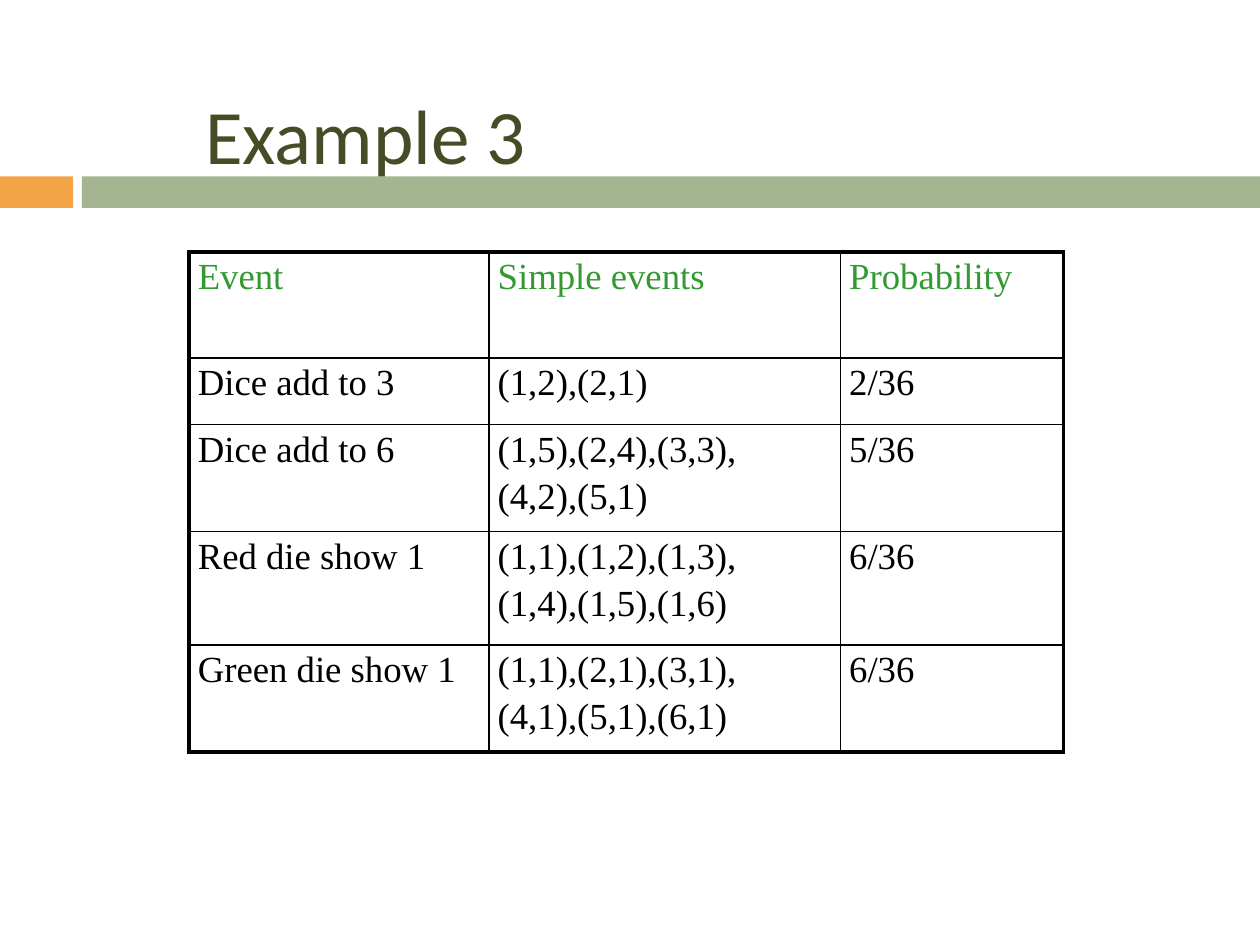
from typing import NamedTuple

from pptx import Presentation
from pptx.dml.color import RGBColor
from pptx.enum.shapes import MSO_SHAPE
from pptx.enum.text import MSO_ANCHOR, PP_ALIGN
from pptx.oxml.ns import qn
from pptx.util import Inches, Pt
from lxml import etree

RECTANGLE = MSO_SHAPE.RECTANGLE
MIDDLE, TOP = MSO_ANCHOR.MIDDLE, MSO_ANCHOR.TOP
LEFT = PP_ALIGN.LEFT

COLORS = {
    "orange": "F3A447",
    "sage": "A5B592",
    "title": "444D26",
    "header": "339933",
    "black": "000000",
}
TITLE_FONT = {"name": "Calibri", "size": Pt(44), "bold": False}
CELL_FONT = {"name": "Times New Roman", "size": Pt(21), "bold": False}
INNER, OUTER = 1, 2.25  # border widths in points


class Bar(NamedTuple):
    left: float
    width: float
    color: str


class Row(NamedTuple):
    height: float
    texts: tuple[str, str, str]


BARS = [Bar(0, 0.58, "orange"), Bar(0.65, 9.35, "sage")]
COLUMN_WIDTHS = [2.38, 2.79, 1.77]
ROWS = [
    Row(0.84, ("Event", "Simple events", "Probability")),
    Row(0.53, ("Dice add to 3", "(1,2),(2,1)", "2/36")),
    Row(0.85, ("Dice add to 6", "(1,5),(2,4),(3,3),\n(4,2),(5,1)", "5/36")),
    Row(0.9, ("Red die show 1", "(1,1),(1,2),(1,3),\n(1,4),(1,5),(1,6)", "6/36")),
    Row(0.85, ("Green die show 1", "(1,1),(2,1),(3,1),\n(4,1),(5,1),(6,1)", "6/36")),
]


def rgb(name: str) -> RGBColor:
    return RGBColor.from_string(COLORS[name])


def set_font(font, values: dict, color: str) -> None:
    for key, value in values.items():
        setattr(font, key, value)
    font.color.rgb = rgb(color)


def draw_bar(slide, bar: Bar) -> None:
    sp = slide.shapes.add_shape(
        RECTANGLE, Inches(bar.left), Inches(1.4), Inches(bar.width), Inches(0.25)
    )
    sp.shadow.inherit = False
    sp.fill.solid()
    sp.fill.fore_color.rgb = rgb(bar.color)
    sp.line.fill.background()


def draw_title(slide, text: str) -> None:
    title = slide.shapes.title
    title.left, title.top = Inches(1.53), Inches(0.59)
    title.width, title.height = Inches(6.38), Inches(0.94)
    tf = title.text_frame
    tf.text = text
    tf.vertical_anchor = MIDDLE
    p = tf.paragraphs[0]
    p.alignment = LEFT
    set_font(p.runs[0].font, TITLE_FONT, "title")
    # Keep the title in front of the bars
    slide.shapes._spTree.append(title._element)


def set_borders(cell, widths: dict[str, float]) -> None:
    tc_pr = cell._tc.get_or_add_tcPr()
    for index, (side, width) in enumerate(widths.items()):
        ln = etree.Element(qn(f"a:{side}"), w=str(Pt(width)))
        fill = etree.SubElement(ln, qn("a:solidFill"))
        etree.SubElement(fill, qn("a:srgbClr"), val=COLORS["black"])
        tc_pr.insert(index, ln)


def fill_cell(cell, text: str, color: str) -> None:
    cell.fill.background()
    cell.vertical_anchor = TOP
    cell.margin_left = cell.margin_right = Inches(0.07)
    cell.margin_top = cell.margin_bottom = Inches(0.04)
    cell.text_frame.text = text
    for index, p in enumerate(cell.text_frame.paragraphs):
        if index:
            p.space_before = Pt(3.5)
        set_font(p.runs[0].font, CELL_FONT, color)


def draw_table(slide, rows: list[Row], widths: list[float]) -> None:
    table = slide.shapes.add_table(
        len(rows), len(widths), Inches(1.5), Inches(2),
        Inches(sum(widths)), Inches(sum(row.height for row in rows)),
    ).table
    table.first_row = table.horz_banding = False
    for c, width in enumerate(widths):
        table.columns[c].width = Inches(width)
    last_row, last_column = len(rows) - 1, len(widths) - 1
    for r, row in enumerate(rows):
        table.rows[r].height = Inches(row.height)
        for c, text in enumerate(row.texts):
            cell = table.cell(r, c)
            fill_cell(cell, text, "black" if r else "header")
            set_borders(cell, {
                "lnL": OUTER if c == 0 else INNER,
                "lnR": OUTER if c == last_column else INNER,
                "lnT": OUTER if r == 0 else INNER,
                "lnB": OUTER if r == last_row else INNER,
            })


def main() -> None:
    prs = Presentation()
    prs.slide_width, prs.slide_height = Inches(10), Inches(7.5)
    slide = prs.slides.add_slide(prs.slide_layouts[5])

    # Band across the slide, then the title over it
    for bar in BARS:
        draw_bar(slide, bar)
    draw_title(slide, "Example 3")

    # Dice events and their probabilities
    draw_table(slide, ROWS, COLUMN_WIDTHS)

    prs.save("out.pptx")


if __name__ == "__main__":
    main()
